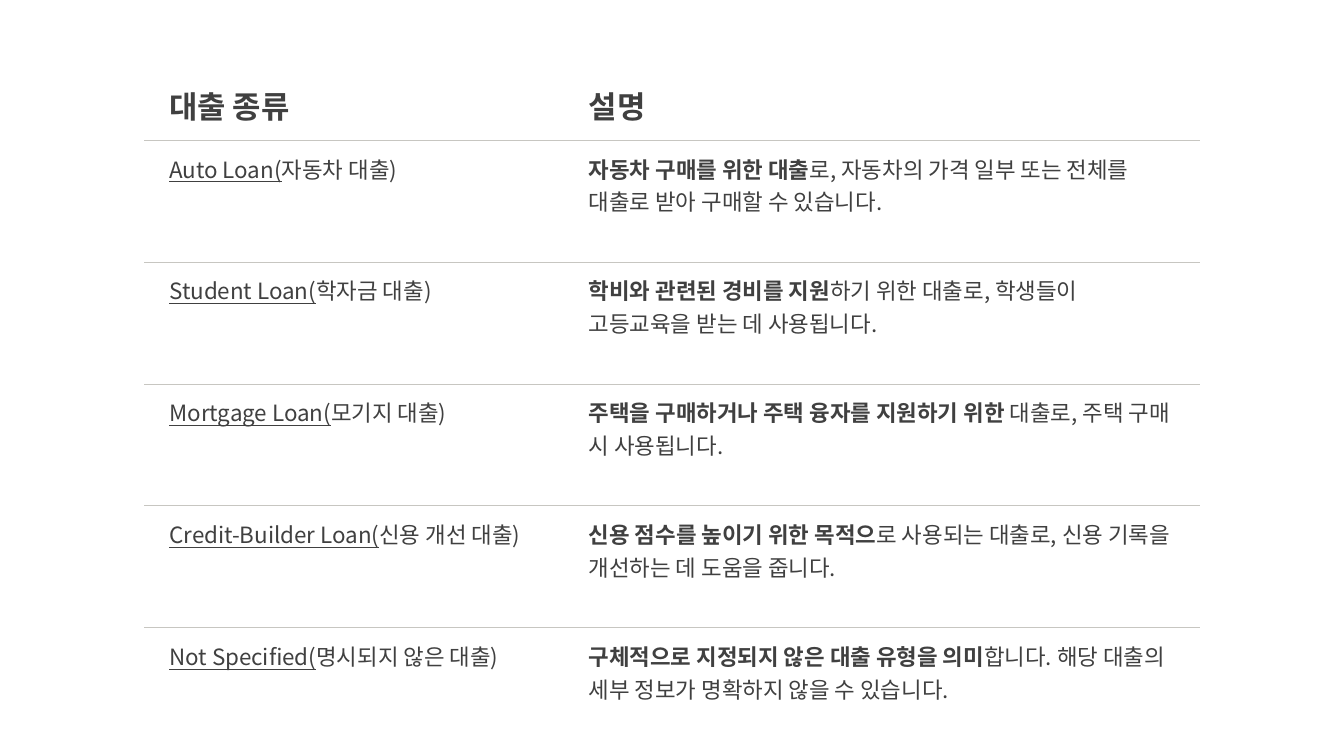
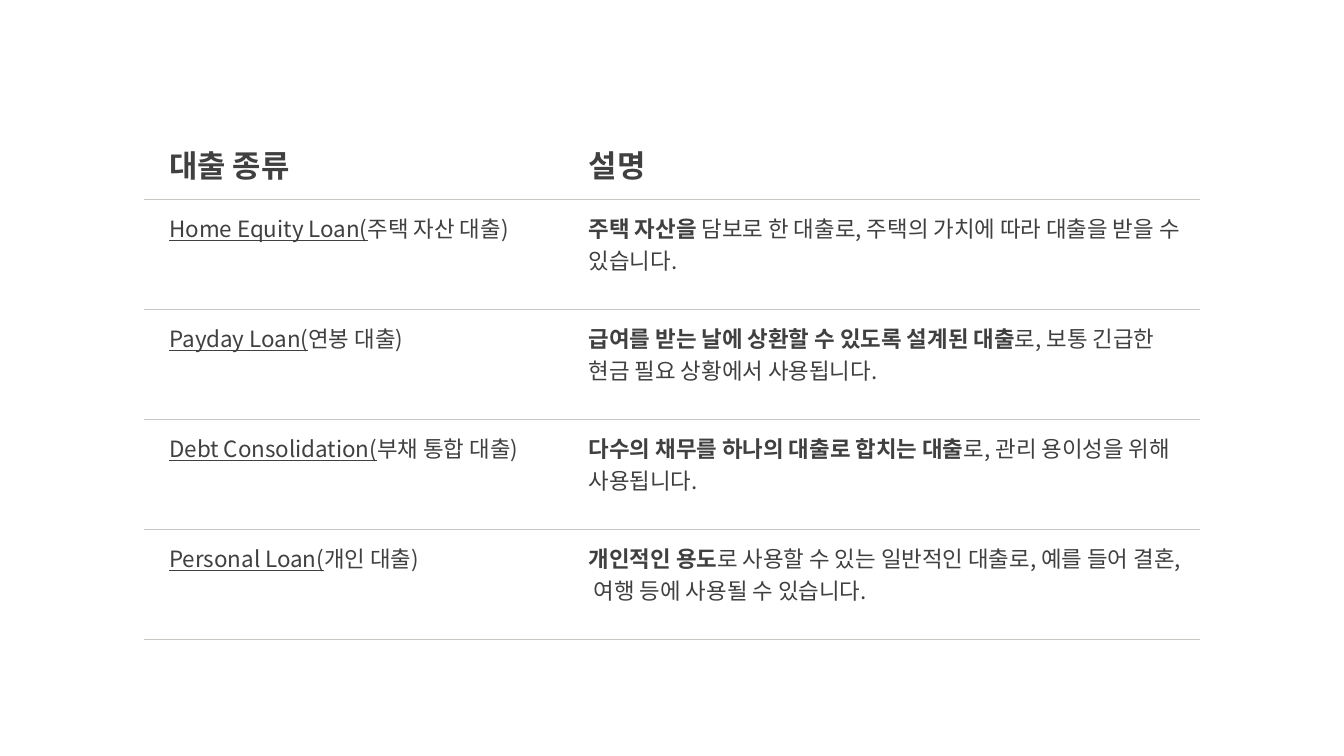
from lxml.etree import SubElement
from pptx import Presentation
from pptx.dml.color import RGBColor
from pptx.enum.text import MSO_ANCHOR
from pptx.oxml import parse_xml
from pptx.oxml.ns import nsdecls, qn
from pptx.util import Inches, Pt

# Shared style
FONT = "Noto Sans CJK KR"
INK = RGBColor(0x40, 0x40, 0x40)
RULE = RGBColor(0xC7, 0xC6, 0xC1)
HEADER_SIZE, BODY_SIZE = Pt(22), Pt(16)
RULE_WIDTH = Pt(0.75)

# Shared table geometry
TABLE_LEFT = Inches(1.43)
COLUMN_WIDTHS = (Inches(4.16), Inches(6.31))
HEADER_HEIGHT = Inches(0.69)
HEADERS = ("대출 종류", "설명")

# Each loan: English name, Korean name, bold lead, rest of the description
COMMON_LOANS = [
    ("Auto Loan(", "자동차 대출)", "자동차 구매를 위한 대출",
     "로, 자동차의 가격 일부 또는 전체를 대출로 받아 구매할 수 있습니다."),
    ("Student Loan(", "학자금 대출)", "학비와 관련된 경비를 지원",
     "하기 위한 대출로, 학생들이 고등교육을 받는 데 사용됩니다."),
    ("Mortgage Loan(", "모기지 대출)", "주택을 구매하거나 주택 융자를 지원하기 위한",
     " 대출로, 주택 구매 시 사용됩니다."),
    ("Credit-Builder Loan(", "신용 개선 대출)", "신용 점수를 높이기 위한 목적으",
     "로 사용되는 대출로, 신용 기록을 개선하는 데 도움을 줍니다."),
    ("Not Specified(", "명시되지 않은 대출)", "구체적으로 지정되지 않은 대출 유형을 의미",
     "합니다. 해당 대출의 세부 정보가 명확하지 않을 수 있습니다."),
]
OTHER_LOANS = [
    ("Home Equity Loan(", "주택 자산 대출)", "주택 자산을 ",
     "담보로 한 대출로, 주택의 가치에 따라 대출을 받을 수 있습니다."),
    ("Payday Loan(", "연봉 대출)", "급여를 받는 날에 상환할 수 있도록 설계된 대출",
     "로, 보통 긴급한 현금 필요 상황에서 사용됩니다."),
    ("Debt Consolidation(", "부채 통합 대출)", "다수의 채무를 하나의 대출로 합치는 대출",
     "로, 관리 용이성을 위해 사용됩니다."),
    ("Personal Loan(", "개인 대출)", "개인적인 용도",
     "로 사용할 수 있는 일반적인 대출로, 예를 들어 결혼, 여행 등에 사용될 수 있습니다."),
]


def set_borders(cell, ruled_sides):
    """Rule the given sides (T, B) of a cell and clear the others."""
    properties = cell._tc.get_or_add_tcPr()
    for index, side in enumerate("LRTB"):
        paint = (f'<a:solidFill><a:srgbClr val="{RULE}"/></a:solidFill>'
                 if side in ruled_sides else "<a:noFill/>")
        properties.insert(index, parse_xml(
            f'<a:ln{side} {nsdecls("a")} w="{RULE_WIDTH}">{paint}</a:ln{side}>'))


def fill_cell(cell, spans, size, ruled_sides):
    """Write (text, bold, underline) spans into a cell."""
    cell.margin_left, cell.margin_right = Inches(0.25), Inches(0.19)
    cell.margin_top = cell.margin_bottom = Inches(0.12)
    cell.vertical_anchor = MSO_ANCHOR.TOP
    cell.fill.background()
    set_borders(cell, ruled_sides)
    para = cell.text_frame.paragraphs[0]
    para.font.name, para.font.size = FONT, size
    para.font.color.rgb = INK
    # East Asian typeface follows the Latin one
    SubElement(para._p.pPr.find(qn("a:defRPr")), qn("a:ea"), typeface=FONT)
    for text, bold, underline in spans:
        span = para.add_run()
        span.text = text
        span.font.bold, span.font.underline = bold, underline


def add_loan_slide(deck, loans, top, row_height, closing_rule):
    """Add a slide holding one table of loans."""
    page = deck.slides.add_slide(deck.slide_layouts[6])
    table = page.shapes.add_table(
        len(loans) + 1, len(HEADERS), TABLE_LEFT, top, sum(COLUMN_WIDTHS),
        HEADER_HEIGHT + row_height * len(loans)).table
    table.horz_banding = False
    for column, width in zip(table.columns, COLUMN_WIDTHS):
        column.width = width

    # Header row
    table.rows[0].height = HEADER_HEIGHT
    for column, header in enumerate(HEADERS):
        fill_cell(table.cell(0, column), [(header, True, False)], HEADER_SIZE, "B")

    # Loan rows
    for row, (english, korean, lead, rest) in enumerate(loans, start=1):
        table.rows[row].height = row_height
        sides = "TB" if row < len(loans) or closing_rule else "T"
        fill_cell(table.cell(row, 0),
                  [(english, False, True), (korean, False, False)], BODY_SIZE, sides)
        fill_cell(table.cell(row, 1),
                  [(lead, True, False), (rest, False, False)], BODY_SIZE, sides)


def main():
    deck = Presentation()
    deck.slide_width, deck.slide_height = Inches(13.33), Inches(7.5)
    add_loan_slide(deck, COMMON_LOANS, Inches(0.7), Inches(1.21), closing_rule=False)
    add_loan_slide(deck, OTHER_LOANS, Inches(1.29), Inches(1.09), closing_rule=True)
    deck.save("out.pptx")


if __name__ == "__main__":
    main()
